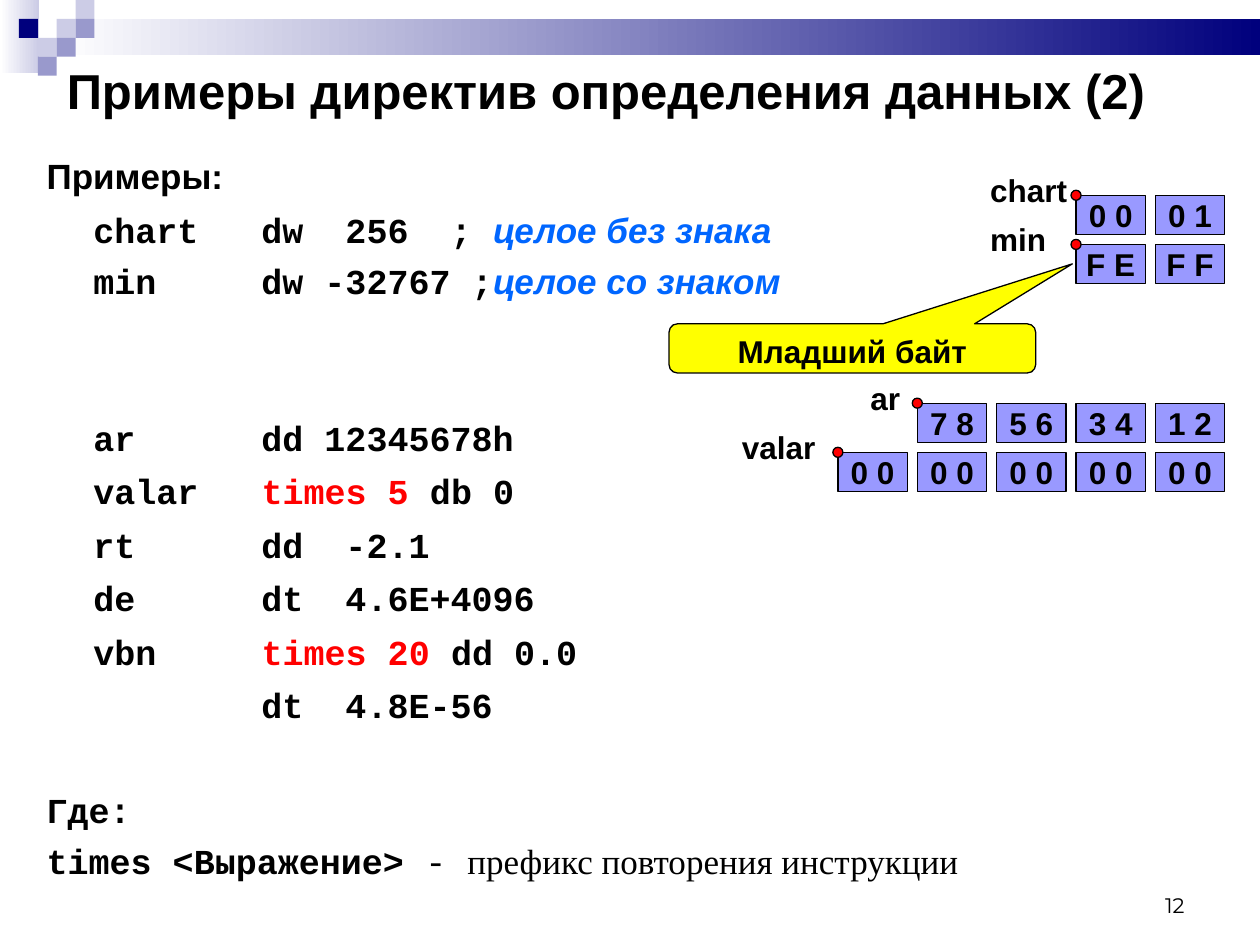
from lxml.etree import SubElement
from pptx import Presentation
from pptx.dml.color import RGBColor
from pptx.enum.shapes import MSO_SHAPE
from pptx.enum.text import MSO_ANCHOR, MSO_AUTO_SIZE, PP_ALIGN
from pptx.oxml.ns import qn
from pptx.util import Pt

PX = 9144  # EMU per px: 100 px to the inch

BLACK, WHITE, RED, BLUE, YELLOW = "000000", "FFFFFF", "FF0000", "0066FF", "FFFF00"
NAVY, LILAC, PALE, BYTE_FILL = "00007D", "9999CC", "CCCCE6", "9999FF"


def rgb(value):
    return RGBColor.from_string(value)


def emu(*lengths):
    return [length * PX for length in lengths]


def write(paragraph, text, size=18, font="Arial", color=BLACK, bold=True, italic=False):
    """Append one formatted run to the paragraph."""
    run = paragraph.add_run()
    run.text = text
    run.font.size = Pt(size)
    run.font.name = font
    run.font.bold = bold
    run.font.italic = italic
    run.font.color.rgb = rgb(color)


class DataSlide:
    CODE = {"size": 20, "font": "Courier New"}
    PROSE = {"size": 20}
    COMMENT = {"size": 20, "color": BLUE, "italic": True}
    KEYWORD = {**CODE, "color": RED}
    CODE_INDENT = 37

    def __init__(self, presentation):
        self.slide = presentation.slides.add_slide(presentation.slide_layouts[1])
        self.shapes = self.slide.shapes

    def place(self, holder, box):
        holder.left, holder.top, holder.width, holder.height = emu(*box)
        holder.text_frame.auto_size = MSO_AUTO_SIZE.NONE
        return holder.text_frame

    def title(self, text, box):
        frame = self.place(self.shapes.title, box)
        frame.vertical_anchor = MSO_ANCHOR.MIDDLE
        heading = frame.paragraphs[0]
        heading.alignment = PP_ALIGN.LEFT
        write(heading, text, size=28)

    def body(self, lines, box):
        """Fill the body with lines of (space before, indent, runs)."""
        frame = self.place(self.slide.placeholders[1], box)
        frame.margin_top = 8 * PX
        for number, (before, indent, runs) in enumerate(lines):
            line = frame.add_paragraph() if number else frame.paragraphs[0]
            properties = line._p.get_or_add_pPr()
            properties.set("marL", str(indent * PX))
            properties.set("indent", "0")
            SubElement(properties, qn("a:buNone"))
            line.space_before = Pt(before)
            for text, style in runs:
                write(line, text, **style)

    def label(self, text, box, align=PP_ALIGN.LEFT, anchor=MSO_ANCHOR.TOP, **style):
        frame = self.shapes.add_textbox(*emu(*box)).text_frame
        frame.word_wrap = True
        frame.vertical_anchor = anchor
        frame.paragraphs[0].alignment = align
        write(frame.paragraphs[0], text, **style)

    def shape(self, kind, box, fill, outline=None, text=None, anchor=MSO_ANCHOR.MIDDLE,
              wrap=False):
        """Draw a preset shape; a pair of colours as fill gives a gradient."""
        shape = self.shapes.add_shape(kind, *emu(*box))
        shape.shadow.inherit = False
        if isinstance(fill, tuple):
            shape.fill.gradient()
            shape.fill.gradient_angle = 0
            for stop, color in zip(shape.fill.gradient_stops, fill):
                stop.color.rgb = rgb(color)
        else:
            shape.fill.solid()
            shape.fill.fore_color.rgb = rgb(fill)
        if outline:
            shape.line.color.rgb = rgb(outline)
            shape.line.width = Pt(0.75)
        else:
            shape.line.fill.background()
        if text:
            frame = shape.text_frame
            frame.word_wrap = wrap
            frame.vertical_anchor = anchor
            frame.paragraphs[0].alignment = PP_ALIGN.CENTER
            write(frame.paragraphs[0], text)
        return shape

    def header(self):
        self.shape(MSO_SHAPE.RECTANGLE, (0, 0, 31, 58), (WHITE, PALE))
        self.shape(MSO_SHAPE.RECTANGLE, (45, 15, 955, 29), (WHITE, NAVY))
        side = 15
        for column, row, color in ((3, 1, PALE), (4, 0, PALE), (4, 1, LILAC), (2, 2, PALE),
                                   (1, 1, NAVY), (3, 2, LILAC), (2, 3, LILAC)):
            self.shape(MSO_SHAPE.RECTANGLE, (column * side, row * side, side, side), color)

    def memory(self, name, label_left, label_width, top, cells):
        """Draw a variable's bytes, flush right, with its name and address dot."""
        last, step = 917, 63
        first = last - step * (len(cells) - 1)
        self.label(name, (label_left, top - 24, label_width, 40))
        for number, cell in enumerate(cells):
            self.shape(MSO_SHAPE.RECTANGLE, (first + number * step, top, 55, 31),
                       BYTE_FILL, BLACK, cell)
        self.shape(MSO_SHAPE.OVAL, (first - 4, top - 4, 8, 8), RED, BLACK)

    def callout(self, text, box, adjustments):
        bubble = self.shape(MSO_SHAPE.ROUNDED_RECTANGULAR_CALLOUT, box, YELLOW, BLACK,
                            text, MSO_ANCHOR.TOP, wrap=True)
        for number, value in enumerate(adjustments):
            bubble.adjustments[number] = value


def main():
    presentation = Presentation()
    presentation.slide_width, presentation.slide_height = emu(1000, 750)
    page = DataSlide(presentation)
    code, keyword, comment = page.CODE, page.KEYWORD, page.COMMENT
    indent = page.CODE_INDENT

    page.header()
    page.title("Примеры директив определения данных (2)", (43, 43, 957, 57))
    page.body([
        (0, 0, [("Примеры:", page.PROSE)]),
        (6.5, indent, [("chart   dw  256  ; ", code), ("целое без знака", comment)]),
        (5, indent, [("min     dw -32767 ;", code), ("целое со знаком", comment)]),
        (66, indent, [("ar      dd 12345678h", code)]),
        (6.5, indent, [("valar   ", code), ("times 5 ", keyword), ("db 0", code)]),
        (6.5, indent, [("rt      dd  -2.1", code)]),
        (6.5, indent, [("de      dt  4.6E+4096", code)]),
        (6.5, indent, [("vbn     ", code), ("times 20 ", keyword), ("dd 0.0", code)]),
        (6.5, indent, [("        dt  4.8E-56", code)]),
        (36, 0, [("Где:", code)]),
        (5, 0, [("times <Выражение> ", code), ("- ", {**code, "bold": False}),
                ("префикс повторения инструкции",
                 {"size": 20, "font": "Times New Roman", "bold": False})]),
    ], (27, 115, 973, 635))

    page.memory("chart", 776, 102, 155, ["0 0", "0 1"])
    page.memory("min", 776, 94, 194, ["F E", "F F"])
    page.callout("Младший байт", (531, 257, 291, 39), (0.6, -1.72, 0.17))
    page.memory("ar", 681, 63, 320, ["7 8", "5 6", "3 4", "1 2"])
    page.memory("valar", 579, 79, 359, ["0 0"] * 5)
    page.label("12", (717, 683, 233, 50), PP_ALIGN.RIGHT, MSO_ANCHOR.BOTTOM,
               size=12, font="Montserrat", bold=False)
    presentation.save("out.pptx")


if __name__ == "__main__":
    main()
